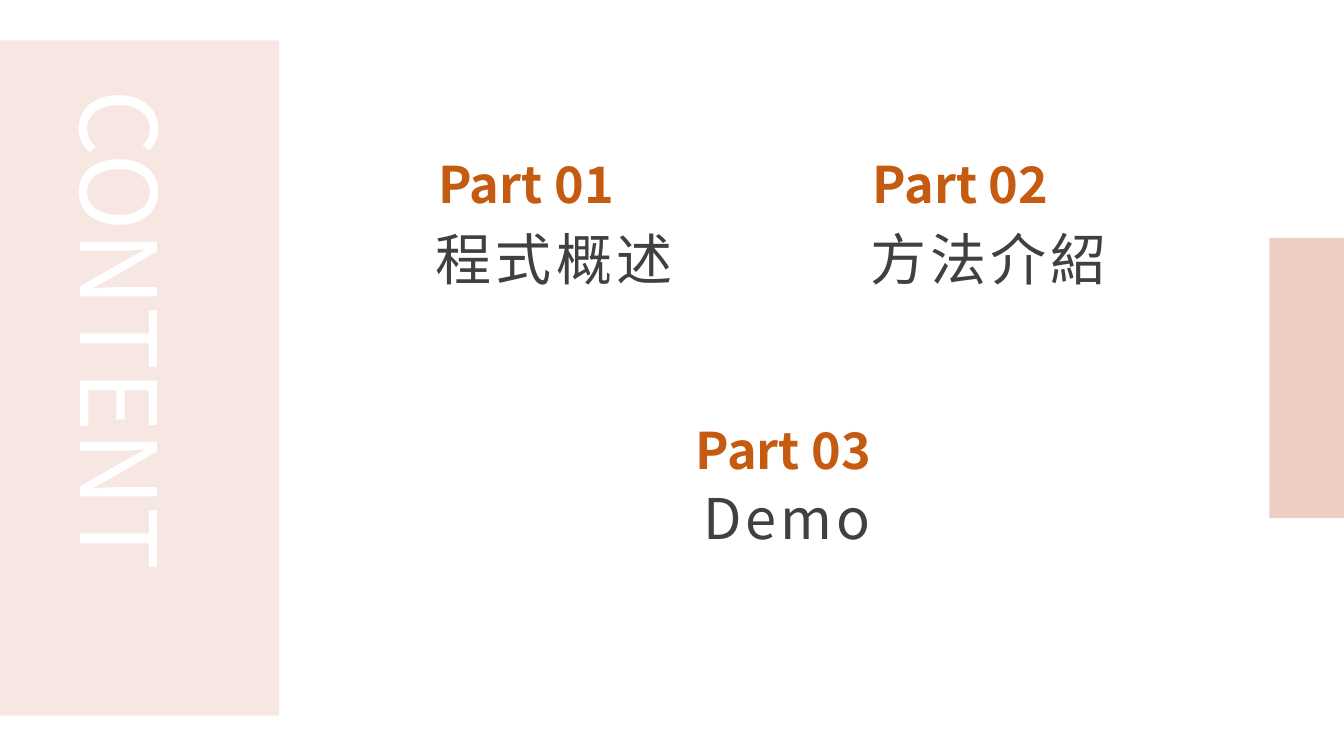
from lxml.etree import SubElement
from pptx import Presentation
from pptx.dml.color import RGBColor as Rgb
from pptx.enum.shapes import MSO_SHAPE as Shape
from pptx.enum.text import MSO_AUTO_SIZE as Fit, PP_ALIGN as Align
from pptx.oxml.ns import qn
from pptx.util import Inches, Pt

TITLE = "CONTENT"
PARTS = [
    ("Part 01", "程式概述", (4.12, 2.18), (0.13, 0.71)),
    ("Part 02", "方法介紹", (8.43, 2.18), (0.13, 0.71)),
    ("Part 03", "Demo", (6.43, 4.75), (0.37, 0.64)),
]
COLORS = {"panel": "F6E7E2", "tab": "ECCEC4", "title": "FFFFFF",
          "head": "C55A11", "label": "404040"}
BARS = [("panel", (0, 0.4, 2.77, 6.7)), ("tab", (12.59, 2.36, 0.74, 2.78))]
FONT = "Noto Sans CJK SC"
WIDE, HIGH = 13.33, 7.5


def add_bar(slide, tint, box):
    bar = slide.shapes.add_shape(Shape.RECTANGLE, *map(Inches, box))
    bar.shadow.inherit = False
    bar.fill.solid()
    bar.fill.fore_color.rgb = Rgb.from_string(COLORS[tint])
    bar.line.fill.background()


def add_text(slide, text, box, size, tint, bold=False, align=Align.LEFT, gap=0, turn=False):
    frame = slide.shapes.add_textbox(*map(Inches, box)).text_frame
    frame.word_wrap = True
    frame.auto_size = Fit.NONE if turn else Fit.SHAPE_TO_FIT_TEXT
    if turn:
        frame.margin_left = frame.margin_right = 0
        frame.margin_top = frame.margin_bottom = 0
        frame._txBody.bodyPr.set("vert", "vert")
    para = frame.paragraphs[0]
    para.alignment = align
    run = para.add_run()
    run.text = text
    font = run.font
    font.name, font.size, font.bold = FONT, Pt(size), bold
    font.color.rgb = Rgb.from_string(COLORS[tint])
    props = run._r.get_or_add_rPr()
    props.set("spc", str(gap * 100))
    SubElement(props, qn("a:ea")).set("typeface", FONT)


def main():
    deck = Presentation()
    deck.slide_width, deck.slide_height = Inches(WIDE), Inches(HIGH)
    slide = deck.slides.add_slide(deck.slide_layouts[6])
    for tint, box in BARS:
        add_bar(slide, tint, box)
    add_text(slide, TITLE, (0.33, 0.89, 1.51, 5.5), 75, "title", turn=True)
    for head, label, (left, top), (shift, rise) in PARTS:
        add_text(slide, head, (left + shift, top - rise, 2.62, 0.71), 36, "head", bold=True)
        add_text(slide, label, (left, top, 2.75, 0.77), 40, "label", align=Align.CENTER, gap=3)
    deck.save("out.pptx")


if __name__ == "__main__":
    main()
